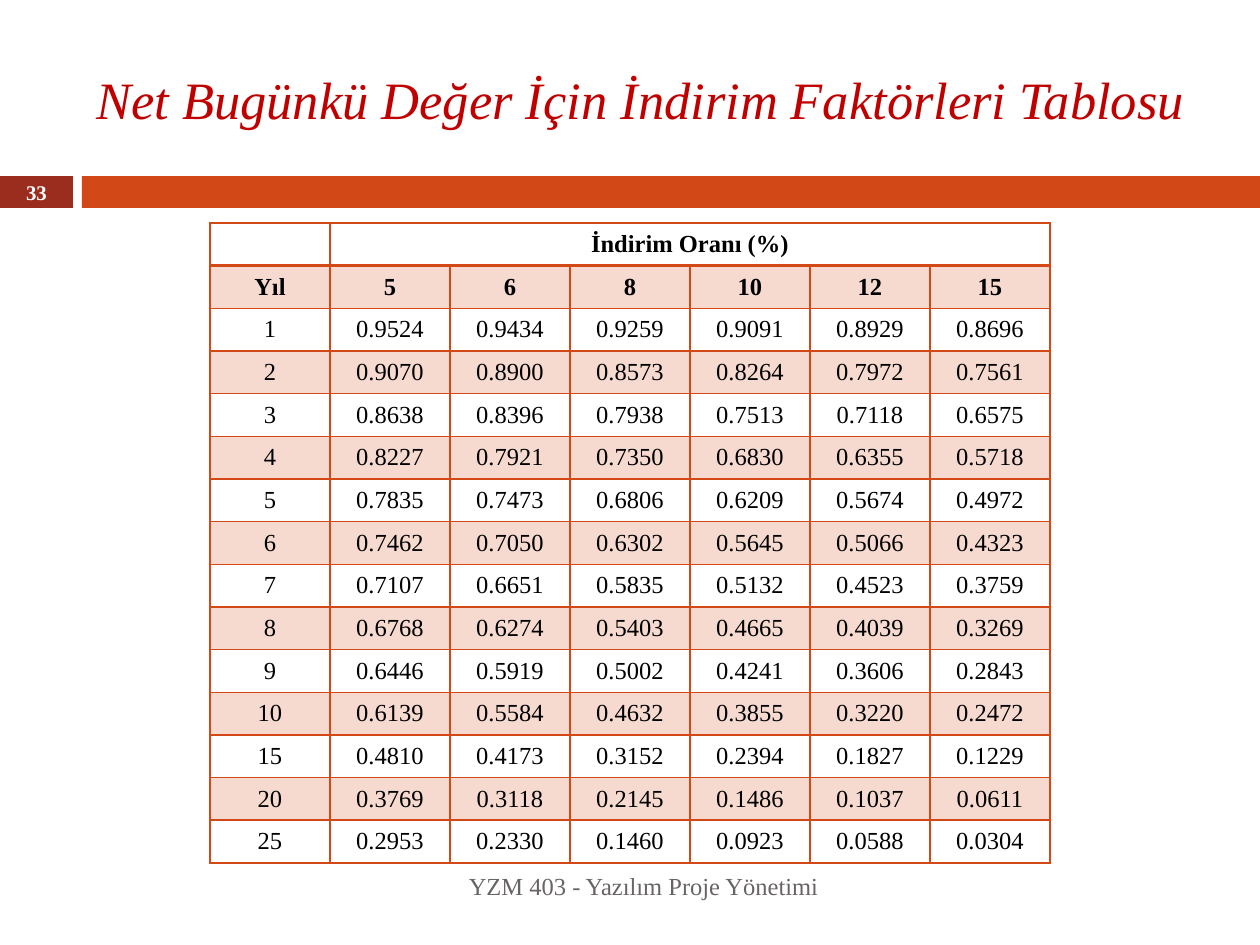
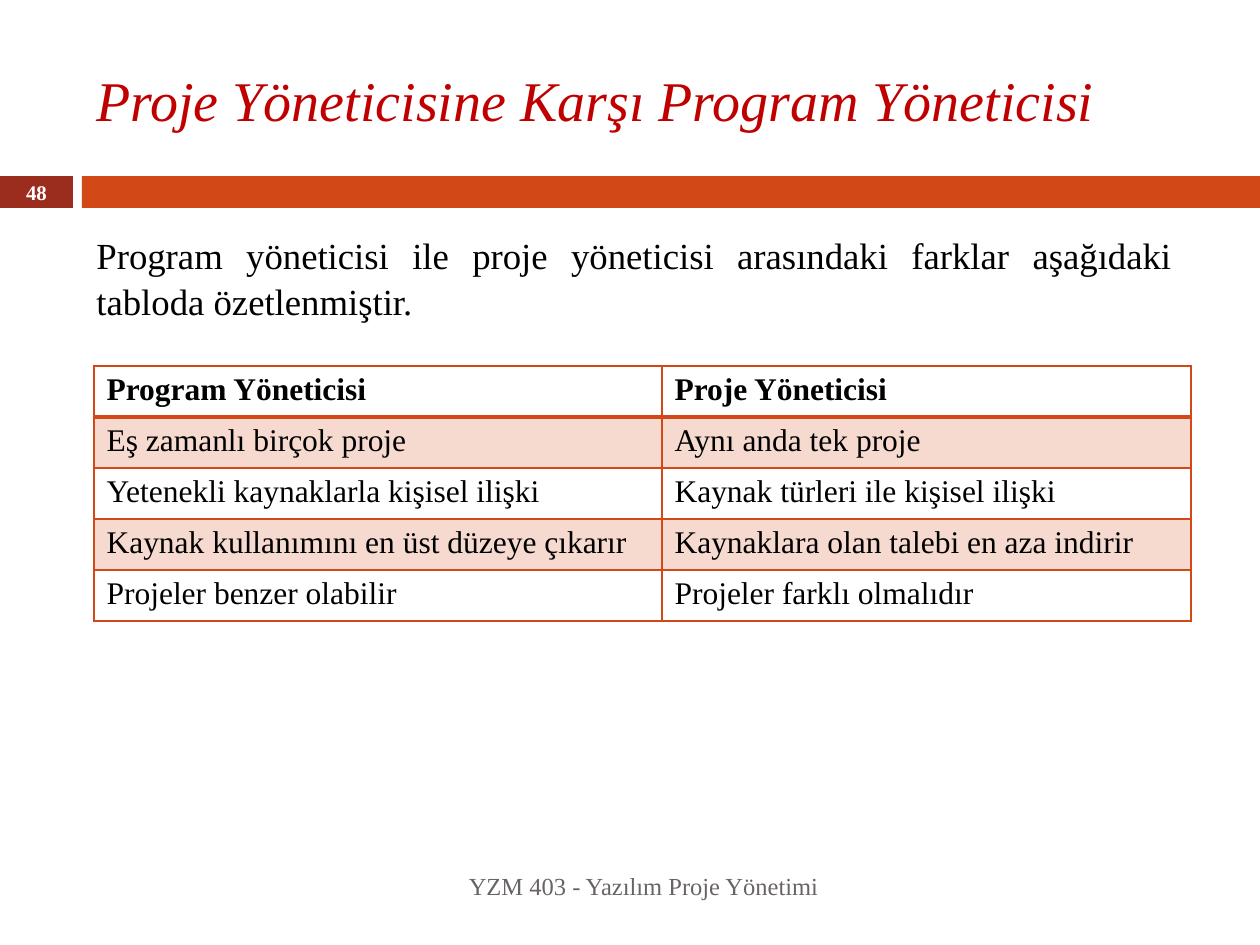
"""Build two project management slides: discount factors and a comparison of manager roles."""
from lxml import etree
from pptx import Presentation
from pptx.dml.color import RGBColor
from pptx.enum.shapes import MSO_SHAPE
from pptx.enum.text import MSO_ANCHOR, PP_ALIGN
from pptx.oxml.ns import qn
from pptx.util import Pt

RECT = MSO_SHAPE.RECTANGLE
TOP, MIDDLE = MSO_ANCHOR.TOP, MSO_ANCHOR.MIDDLE
LEFT, CENTER, RIGHT, JUSTIFY = PP_ALIGN.LEFT, PP_ALIGN.CENTER, PP_ALIGN.RIGHT, PP_ALIGN.JUSTIFY
PX = 914400 / 126
FONT = "Times New Roman"
COLORS = {"title": "C00000", "accent": "D34817", "number": "9B2D1F",
          "footer": "696464", "text": "000000", "white": "FFFFFF"}
FOOTER = "YZM 403 - Yazılım Proje Yönetimi"
BAND_ALPHA = "20000"

FACTORS = """
1 0.9524 0.9434 0.9259 0.9091 0.8929 0.8696
2 0.9070 0.8900 0.8573 0.8264 0.7972 0.7561
3 0.8638 0.8396 0.7938 0.7513 0.7118 0.6575
4 0.8227 0.7921 0.7350 0.6830 0.6355 0.5718
5 0.7835 0.7473 0.6806 0.6209 0.5674 0.4972
6 0.7462 0.7050 0.6302 0.5645 0.5066 0.4323
7 0.7107 0.6651 0.5835 0.5132 0.4523 0.3759
8 0.6768 0.6274 0.5403 0.4665 0.4039 0.3269
9 0.6446 0.5919 0.5002 0.4241 0.3606 0.2843
10 0.6139 0.5584 0.4632 0.3855 0.3220 0.2472
15 0.4810 0.4173 0.3152 0.2394 0.1827 0.1229
20 0.3769 0.3118 0.2145 0.1486 0.1037 0.0611
25 0.2953 0.2330 0.1460 0.0923 0.0588 0.0304
"""
FACTOR_ROWS = [["", "İndirim Oranı (%)", "", "", "", "", ""],
               ["Yıl", "5", "6", "8", "10", "12", "15"]]
FACTOR_ROWS += [line.split() for line in FACTORS.strip().splitlines()]
ROLE_ROWS = [
    ["Program Yöneticisi", "Proje Yöneticisi"],
    ["Eş zamanlı birçok proje", "Aynı anda tek proje"],
    ["Yetenekli kaynaklarla kişisel ilişki", "Kaynak türleri ile kişisel ilişki"],
    ["Kaynak kullanımını en üst düzeye çıkarır", "Kaynaklara olan talebi en aza indirir"],
    ["Projeler benzer olabilir", "Projeler farklı olmalıdır"],
]
SLIDES = [
    {"title": "Net Bugünkü Değer İçin İndirim Faktörleri Tablosu", "size": 30, "number": "33",
     "rows": FACTOR_ROWS, "box": (210, 223, 840, 640), "widths": [120] * 7,
     "cell_size": 14, "align": CENTER, "anchor": MIDDLE, "bold_rows": 2, "body": None},
    {"title": "Proje Yöneticisine Karşı Program Yöneticisi", "size": 32, "number": "48",
     "rows": ROLE_ROWS, "box": (94, 366, 1097, 255), "widths": [568, 529],
     "cell_size": 18, "align": LEFT, "anchor": TOP, "bold_rows": 1,
     "body": "Program yöneticisi ile proje yöneticisi arasındaki farklar "
             "aşağıdaki tabloda özetlenmiştir."},
]


def px(*lengths):
    return [round(n * PX) for n in lengths]


def write(tf, text, size, color, align=LEFT, anchor=MIDDLE, bold=False, italic=False):
    tf.word_wrap = True
    tf.vertical_anchor = anchor
    p = tf.paragraphs[0]
    p.alignment = align
    font = p.font
    font.name, font.size, font.bold, font.italic = FONT, Pt(size), bold, italic
    font.color.rgb = RGBColor.from_string(COLORS[color])
    if text:
        p.add_run().text = text
    else:
        p._p.get_or_add_endParaRPr().set("sz", str(size * 100))
    return p


prs = Presentation()
prs.slide_width, prs.slide_height = px(1260, 945)

for spec_row in SLIDES:
    s = prs.slides.add_slide(prs.slide_layouts[6])

    for left, width, color in ((0, 73, "number"), (82, 1178, "accent")):
        sp = s.shapes.add_shape(RECT, *px(left, 176, width, 32))
        sp.shadow.inherit = False
        sp.fill.solid()
        sp.fill.fore_color.rgb = RGBColor.from_string(COLORS[color])
        sp.line.fill.background()

    title = s.shapes.add_textbox(*px(84, 31, 1124, 136))
    write(title.text_frame, spec_row["title"], spec_row["size"], "title", italic=True)
    footer = s.shapes.add_textbox(*px(84, 861, 747, 50))
    write(footer.text_frame, FOOTER, 14, "footer", RIGHT)
    number = s.shapes.add_textbox(*px(0, 175, 73, 34))
    write(number.text_frame, spec_row["number"], 11.9, "white", CENTER, bold=True)

    rows = spec_row["rows"]
    table = s.shapes.add_table(len(rows), len(rows[0]), *px(*spec_row["box"])).table
    table.first_row = table.horz_banding = False
    for col, width in zip(table.columns, px(*spec_row["widths"])):
        col.width = width

    for i, row in enumerate(rows):
        for j, text in enumerate(row):
            cell = table.cell(i, j)
            write(cell.text_frame, text, spec_row["cell_size"], "text",
                  spec_row["align"], bold=i < spec_row["bold_rows"])
            cell.vertical_anchor = spec_row["anchor"]
            tcPr = cell._tc.get_or_add_tcPr()
            if i % 2:
                cell.fill.solid()
                cell.fill.fore_color.rgb = RGBColor.from_string(COLORS["accent"])
                clr = tcPr.find(qn("a:solidFill"))[0]
                etree.SubElement(clr, qn("a:alpha"), val=BAND_ALPHA)
            else:
                cell.fill.background()
            thick = {0: "lnB", 1: "lnT"}.get(i)
            for k, side in enumerate(("lnL", "lnR", "lnT", "lnB")):
                weight = Pt(2 if side == thick else 1)
                ln = etree.Element(qn("a:" + side), w=str(weight))
                fill = etree.SubElement(ln, qn("a:solidFill"))
                etree.SubElement(fill, qn("a:srgbClr"), val=COLORS["accent"])
                tcPr.insert(k, ln)

    if rows is FACTOR_ROWS:
        table.cell(0, 1).merge(table.cell(0, 6))

    if spec_row["body"]:
        body = s.shapes.add_textbox(*px(84, 224, 1101, 102))
        p = write(body.text_frame, spec_row["body"], 21, "text", JUSTIFY, TOP)
        p.line_spacing = 1.05

prs.save("out.pptx")
